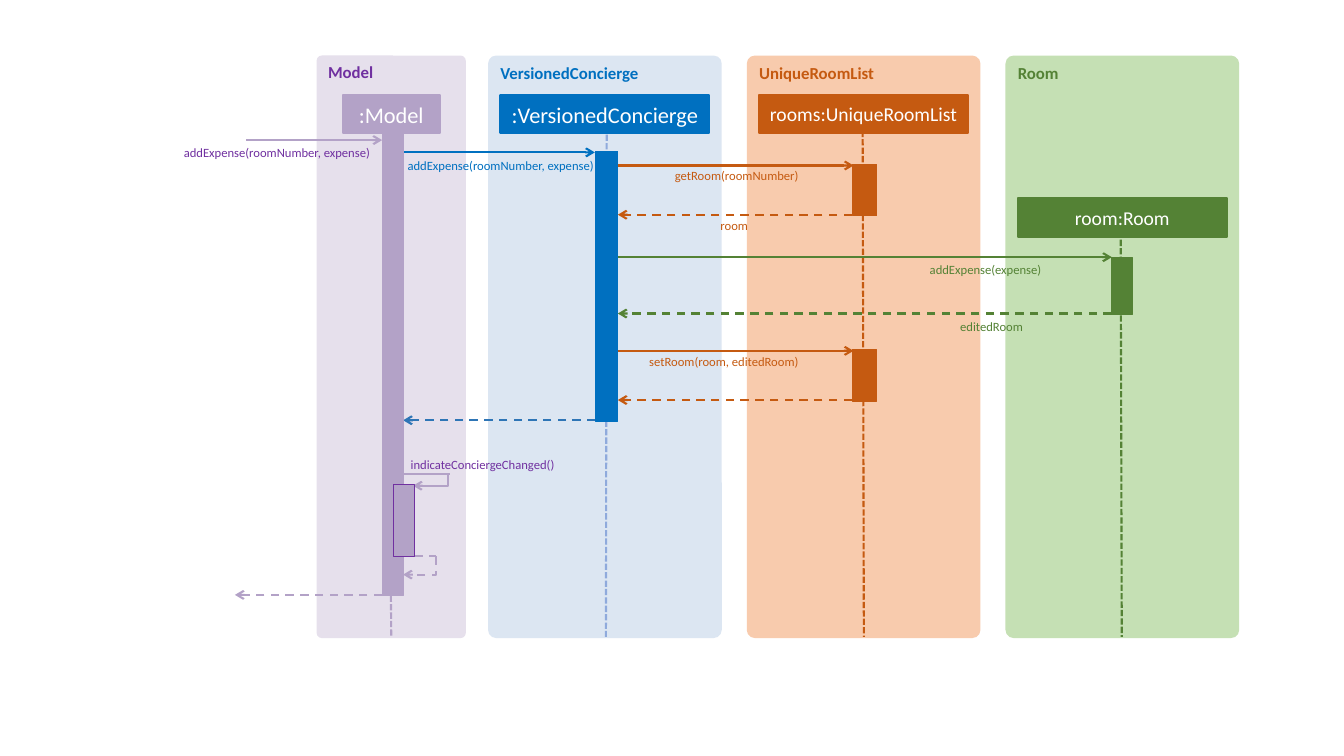
"""Draw a sequence diagram of adding an expense to a room."""
from typing import NamedTuple

import pptx
import pptx.dml.color
import pptx.enum.dml
import pptx.enum.shapes
import pptx.enum.text
import pptx.oxml
import pptx.oxml.ns
import pptx.util

Cm = pptx.util.Cm
Pt = pptx.util.Pt
Shape = pptx.enum.shapes.MSO_SHAPE
Link = pptx.enum.shapes.MSO_CONNECTOR
Dash = pptx.enum.dml.MSO_LINE
Align = pptx.enum.text.PP_ALIGN
Anchor = pptx.enum.text.MSO_ANCHOR

LILAC, PURPLE, BLUE, ORANGE, GREEN = "B3A2C7", "7030A0", "0070C0", "C55A11", "548235"
LANE_TOP, LANE_HEIGHT, LANE_WIDTH, LANE_PITCH = 1.4, 14.68, 5.89, 6.52
FIRST_WIDE_LANE = 12.3
HEADER_TOP, HEADER_HEIGHT, HEADER_WIDTH = 2.39, 0.97, 5.26
LIFELINE_END = 16.05
LABEL_HEIGHT = 0.64


class Lane(NamedTuple):
    """A participant with its background, header and lifeline."""
    title: str
    instance: str
    left: float
    tint: str
    title_color: str
    color: str
    lifeline_color: str
    lifeline: tuple[float, float, float]
    instance_size: int = 14
    width: float = LANE_WIDTH
    header_width: float = HEADER_WIDTH
    header_top: float = HEADER_TOP


class Activation(NamedTuple):
    """A bar on a lifeline."""
    left: float
    top: float
    width: float
    height: float
    color: str
    outline: str


class Message(NamedTuple):
    """A straight or bent line between activations."""
    start: tuple[float, float]
    end: tuple[float, float]
    color: str
    dash: Dash | None = None
    arrow: bool = True


class Label(NamedTuple):
    """The wording beside a message."""
    text: str
    left: float
    top: float
    width: float
    color: str


LANES = [
    Lane("Model", ":Model", 7.98, "E6E0EC", PURPLE, LILAC, LILAC,
         (9.75, 3.35, 9.86), 16, 3.76, 2.44),
    Lane("VersionedConcierge", ":VersionedConcierge", FIRST_WIDE_LANE, "DCE6F2",
         BLUE, BLUE, "8FAADC", (15.29, 3.18, 15.27), 16),
    Lane("UniqueRoomList", "rooms:UniqueRoomList", FIRST_WIDE_LANE + LANE_PITCH, "F8CBAD",
         ORANGE, ORANGE, ORANGE, (21.74, 2.87, 21.77)),
    Lane("Room", "room:Room", FIRST_WIDE_LANE + 2 * LANE_PITCH, "C5E0B4",
         GREEN, GREEN, GREEN, (28.24, 4.98, 28.27), header_top=5.0),
]
MESSAGES = [
    Message((6.2, 3.53), (9.63, 3.53), LILAC),
    Message((10.19, 3.84), (14.99, 3.84), BLUE),
    Message((15.57, 4.17), (21.51, 4.17), ORANGE),
    Message((21.84, 5.41), (15.57, 5.41), ORANGE, Dash.DASH),
    Message((15.57, 6.48), (28.02, 6.48), GREEN),
    Message((28.02, 7.9), (15.57, 7.9), GREEN, Dash.DASH),
    Message((15.57, 8.84), (21.51, 8.84), ORANGE),
    Message((21.84, 10.08), (15.57, 10.08), ORANGE, Dash.DASH),
    Message((15.01, 10.59), (10.16, 10.59), "2E75B6", Dash.DASH),
    Message((10.03, 11.94), (11.33, 11.94), LILAC, arrow=False),
    Message((11.3, 11.94), (10.41, 12.24), LILAC),
    Message((9.7, 14.0), (11.0, 14.0), LILAC, Dash.DASH, False),
    Message((11.0, 14.02), (10.16, 14.48), LILAC, Dash.DASH),
    Message((9.63, 14.99), (5.92, 14.99), LILAC, Dash.DASH),
]
ACTIVATIONS = [
    Activation(9.63, 3.2, 0.53, 11.81, LILAC, LILAC),
    Activation(15.01, 3.81, 0.56, 6.81, BLUE, BLUE),
    Activation(21.49, 4.14, 0.61, 1.3, ORANGE, ORANGE),
    Activation(21.49, 8.81, 0.61, 1.3, ORANGE, ORANGE),
    Activation(28.02, 6.48, 0.51, 1.45, GREEN, GREEN),
    Activation(9.91, 12.22, 0.53, 1.8, LILAC, PURPLE),
]
LABELS = [
    Label("addExpense(roomNumber, expense)", 4.29, 3.53, 5.28, PURPLE),
    Label("addExpense(roomNumber, expense)", 9.93, 3.86, 5.28, BLUE),
    Label("getRoom(roomNumber)", 16.61, 4.11, 3.76, ORANGE),
    Label("room", 17.88, 5.36, 1.22, ORANGE),
    Label("addExpense(expense)", 23.14, 6.48, 3.35, GREEN),
    Label("editedRoom", 23.9, 7.92, 2.13, GREEN),
    Label("setRoom(room, editedRoom)", 16.03, 8.79, 4.34, ORANGE),
    Label("indicateConciergeChanged()", 10.03, 11.38, 4.19, PURPLE),
]


def rgb(color: str) -> pptx.dml.color.RGBColor:
    """Turn a hex string into a colour."""
    return pptx.dml.color.RGBColor.from_string(color)


def write(frame, text: str, size: int, color: str, align: Align, bold: bool = False) -> None:
    """Put one formatted, unwrapped paragraph into a text frame."""
    frame.text = text
    frame.word_wrap = False
    paragraph = frame.paragraphs[0]
    paragraph.alignment = align
    font = paragraph.runs[0].font
    font.name, font.size, font.bold = "Calibri", Pt(size), bold
    font.color.rgb = rgb(color)


def add_box(slide, kind: Shape, left: float, top: float, width: float, height: float,
            fill: str, outline: str | None = None, weight: float = 0.75):
    """Add a filled preset shape without a shadow."""
    box = slide.shapes.add_shape(kind, Cm(left), Cm(top), Cm(width), Cm(height))
    box.shadow.inherit = False
    box.fill.solid()
    box.fill.fore_color.rgb = rgb(fill)
    if outline:
        box.line.color.rgb = rgb(outline)
        box.line.width = Pt(weight)
    else:
        box.line.fill.background()
    return box


def add_message(slide, message: Message) -> None:
    """Connect two points, turning at the start when their heights differ."""
    (x1, y1), (x2, y2) = message.start, message.end
    bent = y1 != y2 and message.arrow
    kind = Link.ELBOW if bent else Link.STRAIGHT
    connector = slide.shapes.add_connector(kind, Cm(x1), Cm(y1), Cm(x2), Cm(y2))
    connector.line.color.rgb = rgb(message.color)
    connector.line.width = Pt(1.5)
    if message.dash:
        connector.line.dash_style = message.dash
    properties = connector._element.spPr
    if bent:
        guides = properties.find(pptx.oxml.ns.qn("a:prstGeom")).get_or_add_avLst()
        guide = pptx.oxml.parse_xml(
            f'<a:gd {pptx.oxml.ns.nsdecls("a")} name="adj1" fmla="val 0"/>')
        guides.append(guide)
    if message.arrow:
        head = pptx.oxml.parse_xml(f'<a:tailEnd {pptx.oxml.ns.nsdecls("a")} type="arrow"/>')
        connector.line._get_or_add_ln().append(head)
    properties.append(pptx.oxml.parse_xml(f'<a:effectLst {pptx.oxml.ns.nsdecls("a")}/>'))


def add_lane(slide, lane: Lane) -> None:
    """Add a titled lane with its lifeline and header."""
    background = add_box(slide, Shape.ROUNDED_RECTANGLE, lane.left, LANE_TOP,
                         lane.width, LANE_HEIGHT, lane.tint)
    background.adjustments[0] = 0.035
    background.text_frame.vertical_anchor = Anchor.TOP
    write(background.text_frame, lane.title, 12, lane.title_color, Align.LEFT, True)
    x1, y1, x2 = lane.lifeline
    add_message(slide, Message((x1, y1), (x2, LIFELINE_END), lane.lifeline_color,
                               Dash.SQUARE_DOT, False))
    header = add_box(slide, Shape.RECTANGLE, lane.left + (lane.width - lane.header_width) / 2,
                     lane.header_top, lane.header_width, HEADER_HEIGHT,
                     lane.color, lane.color, 1.5)
    header.text_frame.vertical_anchor = Anchor.MIDDLE
    write(header.text_frame, lane.instance, lane.instance_size, "FFFFFF", Align.CENTER)


def add_label(slide, label: Label) -> None:
    """Add the wording of a message."""
    caption = slide.shapes.add_textbox(Cm(label.left), Cm(label.top),
                                       Cm(label.width), Cm(LABEL_HEIGHT))
    write(caption.text_frame, label.text, 9, label.color, Align.RIGHT)
    caption.text_frame.auto_size = pptx.enum.text.MSO_AUTO_SIZE.SHAPE_TO_FIT_TEXT


deck = pptx.Presentation()
deck.slide_width, deck.slide_height = Cm(33.87), Cm(19.05)
diagram = deck.slides.add_slide(deck.slide_layouts[6])
for participant in LANES:
    add_lane(diagram, participant)
for call in MESSAGES:
    add_message(diagram, call)
for bar in ACTIVATIONS:
    add_box(diagram, Shape.RECTANGLE, *bar)
for wording in LABELS:
    add_label(diagram, wording)
deck.save("out.pptx")
